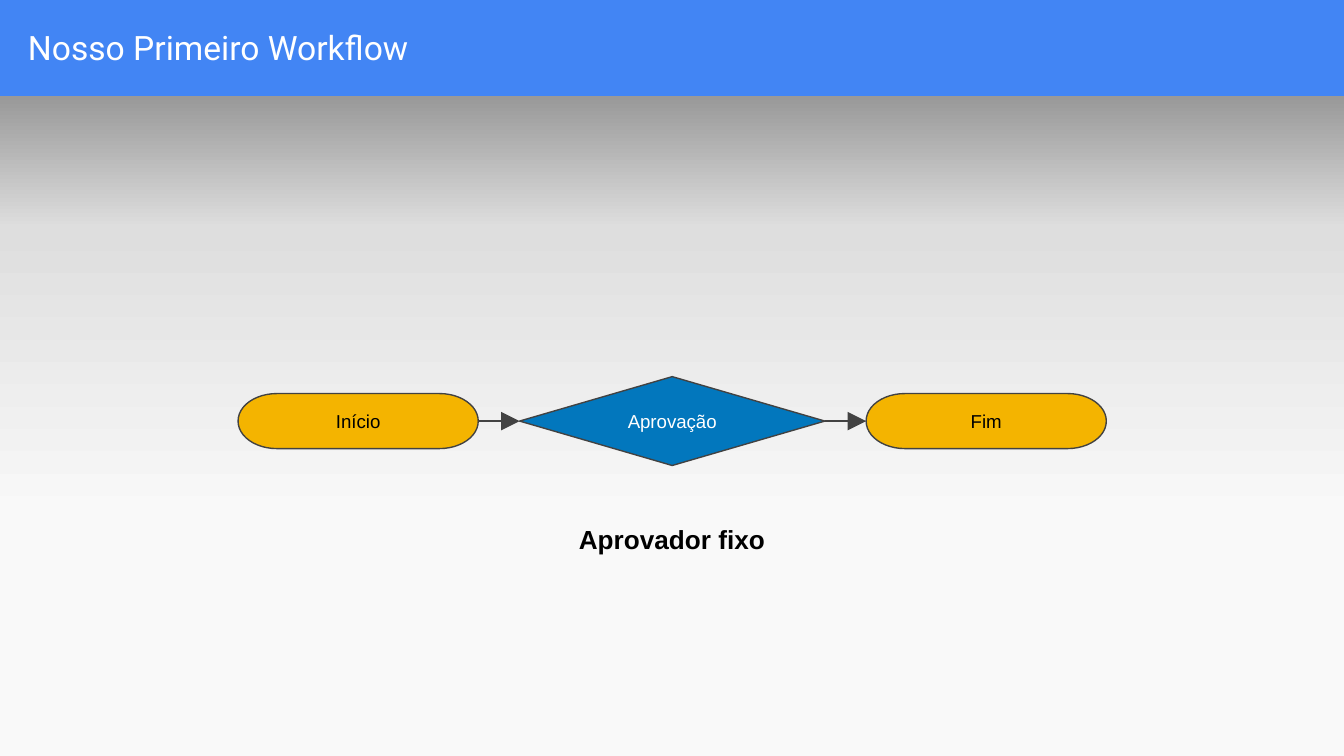
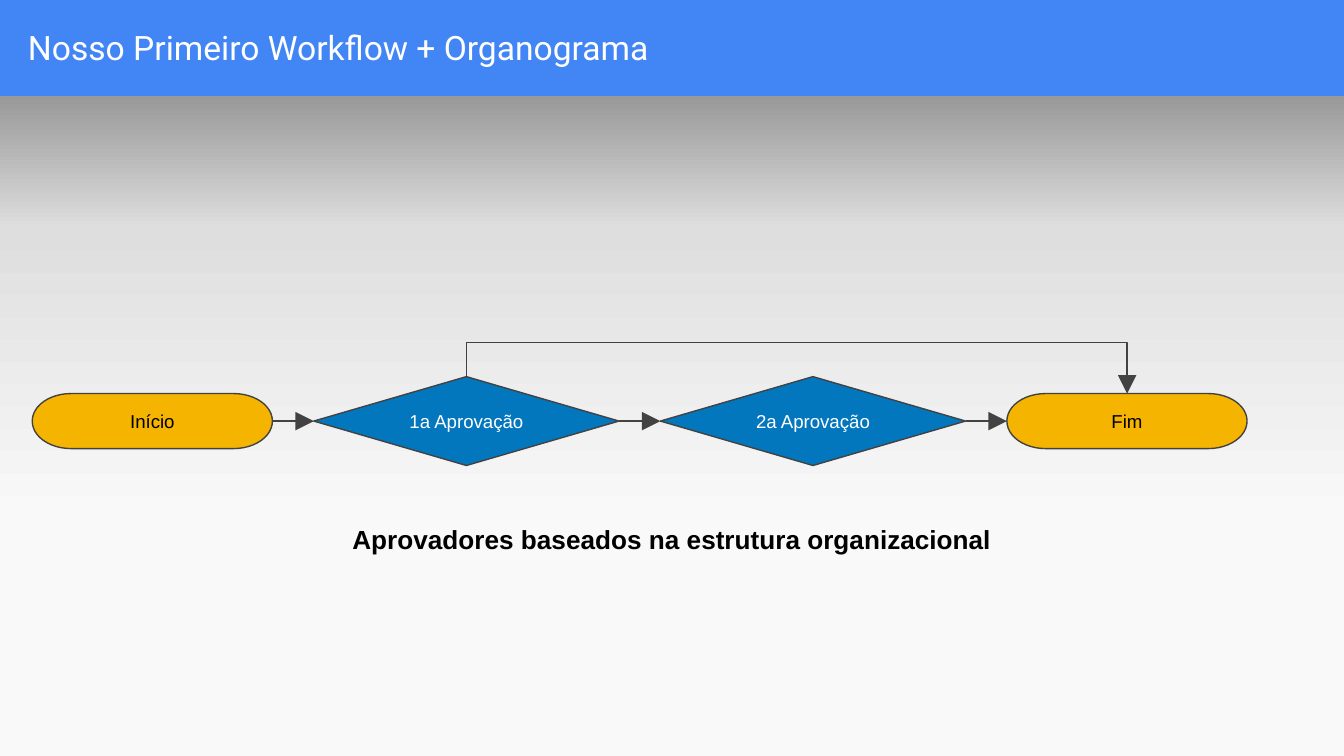
from lxml.etree import SubElement
from pptx import Presentation
from pptx.dml.color import RGBColor
from pptx.enum.shapes import MSO_CONNECTOR as Connector, MSO_SHAPE as Shape
from pptx.enum.text import MSO_ANCHOR as Anchor, PP_ALIGN as Align
from pptx.oxml.ns import qn
from pptx.util import Cm, Pt

WIDTH, HEIGHT, BAND_HEIGHT = 25.4, 14.29, 1.82
BLUE, WHITE, BLACK, OUTLINE = "4285F4", "FFFFFF", "000000", "424242"
PANEL_STOPS = [(0, "F9F9F9"), (36, "F9F9F9"), (80, "DEDEDE"), (100, "999999")]
TERMINATOR = (Shape.FLOWCHART_TERMINATOR, 4.54, 1.04, "F4B400", BLACK)
DECISION = (Shape.FLOWCHART_DECISION, 5.77, 1.68, "0277BD", WHITE)
STEP_GAP, BYPASS_RISE = 0.78, 0.65
TOP, LEFT, RIGHT = 0, 1, 3

SLIDES = [
    dict(title="Nosso Primeiro Workflow", flow_left=4.5,
         decisions=["Aprovação"], caption="Aprovador fixo",
         caption_width=5.77, bypass=False),
    dict(title="Nosso Primeiro Workflow + Organograma", flow_left=0.61,
         decisions=["1a Aprovação", "2a Aprovação"],
         caption="Aprovadores baseados na estrutura organizacional",
         caption_width=13.49, bypass=True),
]


def color(value):
    """Turn a hex string into a colour."""
    return RGBColor.from_string(value)


def write_text(shape, text, size=10, font="Arial", ink=BLACK, bold=False,
               align=Align.CENTER, anchor=Anchor.MIDDLE):
    """Write one formatted paragraph into a shape."""
    frame = shape.text_frame
    frame.word_wrap = True
    frame.vertical_anchor = anchor
    frame.margin_left = frame.margin_right = Cm(0.25)
    frame.margin_top = frame.margin_bottom = Cm(0.25)
    paragraph = frame.paragraphs[0]
    paragraph.alignment = align
    run = paragraph.add_run()
    run.text = text
    run.font.size = Pt(size)
    run.font.name = font
    run.font.bold = bold
    run.font.color.rgb = color(ink)


def add_text(slide, left, top, width, height, text, **text_format):
    """Add a text box with formatted text."""
    box = slide.shapes.add_textbox(Cm(left), Cm(top), Cm(width), Cm(height))
    write_text(box, text, **text_format)


def add_panel(slide, left, top, width, height):
    """Add the grey panel that fades to light at the bottom."""
    panel = slide.shapes.add_shape(
        Shape.RECTANGLE, Cm(left), Cm(top), Cm(width), Cm(height))
    panel.shadow.inherit = False
    panel.line.fill.background()
    panel.fill.gradient()
    panel.fill.gradient_angle = 90
    stops = panel._element.spPr.find(".//" + qn("a:gsLst"))
    for stop in list(stops):
        stops.remove(stop)
    for position, value in PANEL_STOPS:
        stop = SubElement(stops, qn("a:gs"), pos=str(position * 1000))
        SubElement(stop, qn("a:srgbClr"), val=value)


def add_step(slide, left, middle, kind, text):
    """Add one flow step, centred on the middle height."""
    preset, width, height, fill, ink = kind
    step = slide.shapes.add_shape(
        preset, Cm(left), Cm(middle - height / 2), Cm(width), Cm(height))
    step.shadow.inherit = False
    step.fill.solid()
    step.fill.fore_color.rgb = color(fill)
    step.line.color.rgb = color(OUTLINE)
    step.line.width = Pt(0.75)
    write_text(step, text, ink=ink)
    return step


def add_arrow(slide, kind, *points):
    """Add a thin connector with a large arrowhead at its end."""
    arrow = slide.shapes.add_connector(kind, *points)
    arrow.line.color.rgb = color(OUTLINE)
    arrow.line.width = Pt(0.75)
    SubElement(arrow.line._get_or_add_ln(), qn("a:tailEnd"),
               type="triangle", w="lg", len="lg")
    SubElement(arrow._element.spPr, qn("a:effectLst"))
    return arrow


def add_bypass(slide, source, target):
    """Add a bent arrow over the flow, from top to top of two steps."""
    start_x = source.left + source.width // 2
    end_x = target.left + target.width // 2
    span, drop = end_x - start_x, target.top - source.top
    center_x, center_y = (start_x + end_x) // 2, source.top + drop // 2
    arrow = add_arrow(slide, Connector.ELBOW,
                      center_x + drop // 2, center_y - span // 2,
                      center_x - drop // 2, center_y + span // 2)
    properties = arrow._element.spPr
    properties.find(qn("a:xfrm")).set("rot", str(270 * 60000))
    adjustments = properties.find(".//" + qn("a:avLst"))
    bend = round(-Cm(BYPASS_RISE) / drop * 100000)
    SubElement(adjustments, qn("a:gd"), name="adj1", fmla=f"val {bend}")


def add_flow(slide, left, middle, decisions, bypass):
    """Add the chain from start to end with its arrows."""
    chain = [(TERMINATOR, "Início"),
             *((DECISION, text) for text in decisions),
             (TERMINATOR, "Fim")]
    steps = []
    for kind, text in chain:
        steps.append(add_step(slide, left, middle, kind, text))
        left += kind[1] + STEP_GAP
    for source, target in zip(steps, steps[1:]):
        arrow = add_arrow(slide, Connector.STRAIGHT, 0, 0, 0, 0)
        arrow.begin_connect(source, RIGHT)
        arrow.end_connect(target, LEFT)
    if bypass:
        add_bypass(slide, steps[1], steps[-1])


def add_workflow_slide(presentation, title, flow_left, decisions, caption,
                       caption_width, bypass):
    """Add a slide with title band, flow and caption."""
    slide = presentation.slides.add_slide(presentation.slide_layouts[6])
    slide.background.fill.solid()
    slide.background.fill.fore_color.rgb = color(BLUE)
    add_panel(slide, 0, BAND_HEIGHT, WIDTH, HEIGHT - BAND_HEIGHT)
    add_text(slide, 0.28, 0.05, 24.51, 1.68, title, size=18, font="Roboto",
             ink=WHITE, align=Align.LEFT)
    add_flow(slide, flow_left, 7.96, decisions, bypass)
    add_text(slide, (WIDTH - caption_width) / 2, 9.65, caption_width, 1.04,
             caption, size=14, bold=True, anchor=Anchor.TOP)


def main():
    """Build and save the presentation."""
    presentation = Presentation()
    presentation.slide_width = Cm(WIDTH)
    presentation.slide_height = Cm(HEIGHT)
    for content in SLIDES:
        add_workflow_slide(presentation, **content)
    presentation.save("out.pptx")


if __name__ == "__main__":
    main()
